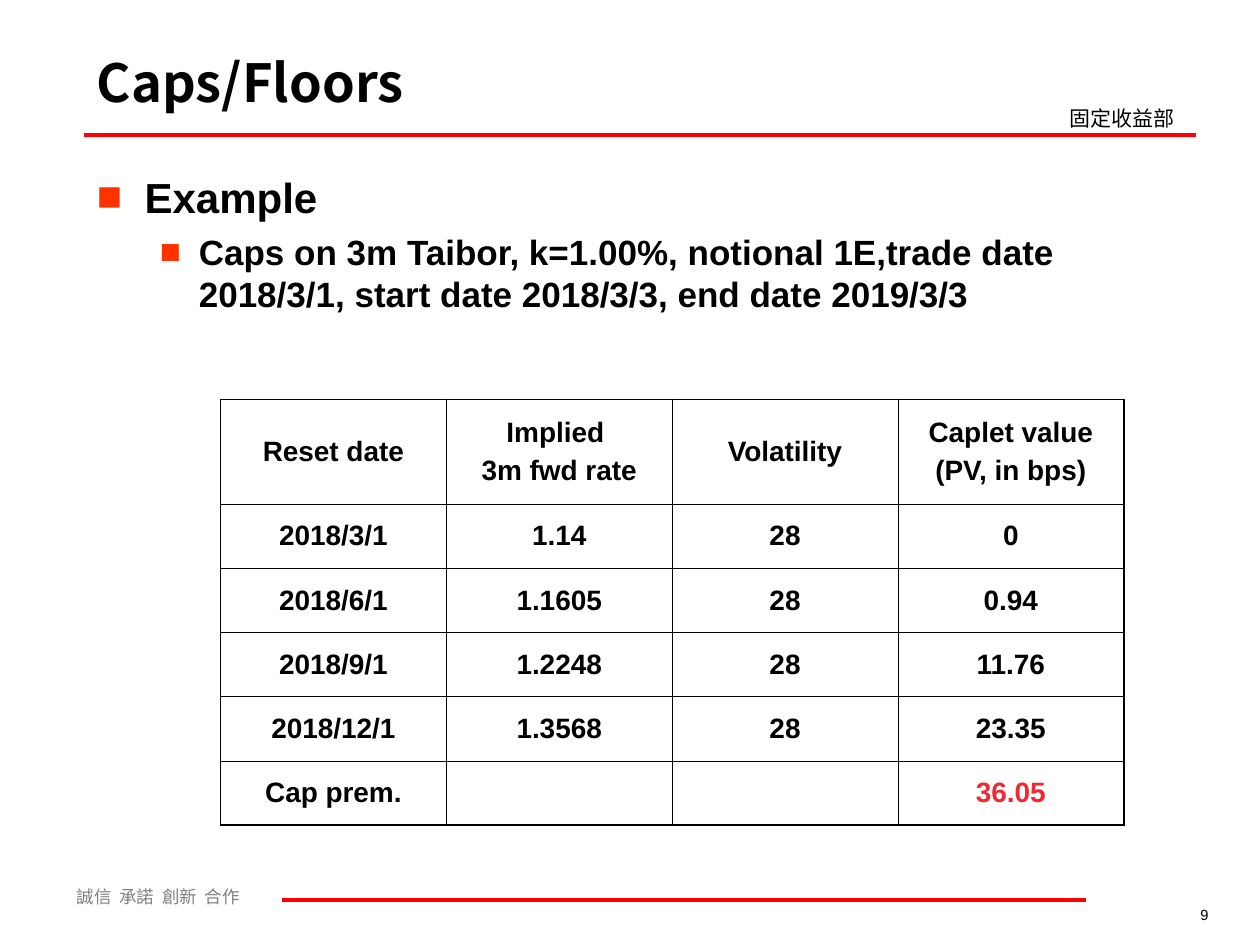
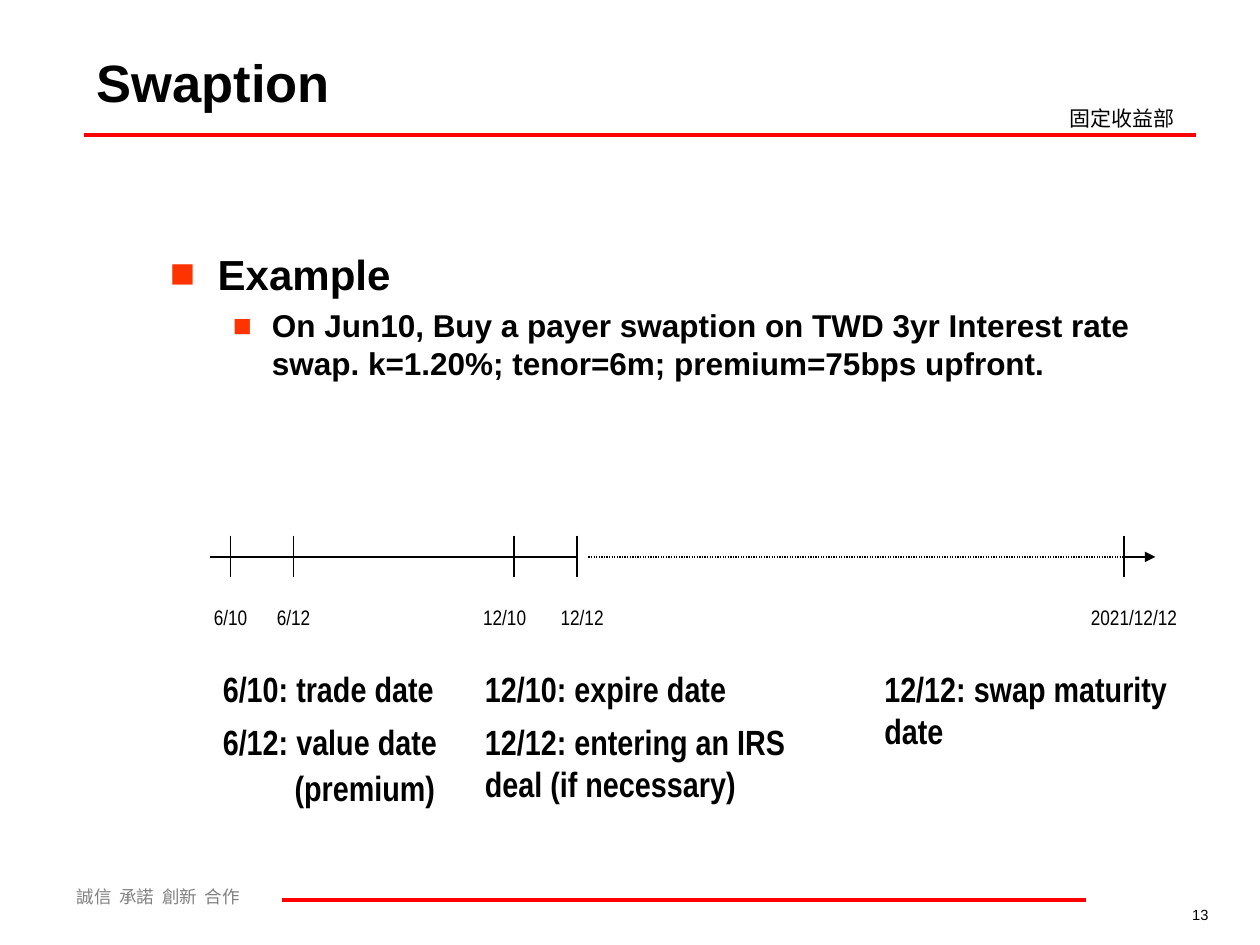
from lxml.etree import SubElement
from pptx import Presentation
from pptx.dml.color import RGBColor
from pptx.enum.dml import MSO_LINE
from pptx.enum.shapes import MSO_CONNECTOR
from pptx.enum.text import MSO_ANCHOR, PP_ALIGN
from pptx.oxml import parse_xml
from pptx.oxml.ns import nsdecls, qn
from pptx.util import Inches, Pt

BLACK, GREY, RED = "000000", "808080", "FF0000"
BULLET_RED, TOTAL_RED = "FF3300", "F02832"
SANS, NARROW, CJK = "Arial", "Arial Narrow", "Noto Sans CJK SC"
hex_color = RGBColor.from_string


def write(frame, text, size, font=SANS, color=BLACK, bold=False,
          align=PP_ALIGN.LEFT, before=0):
    """Fill a text frame, one paragraph per line of text, in one style."""
    frame.word_wrap = True
    frame.text = text
    for paragraph in frame.paragraphs:
        paragraph.alignment = align
        paragraph.space_before = Pt(before)
        for run in paragraph.runs:
            run.font.size = Pt(size)
            run.font.bold = bold
            run.font.color.rgb = hex_color(color)
            run.font.name = font
            SubElement(run.font._element, qn("a:ea"), typeface=font)
    return frame


def add_line(slide, x1, y1, x2, y2, color=BLACK, width=0.75):
    connector = slide.shapes.add_connector(
        MSO_CONNECTOR.STRAIGHT, Inches(x1), Inches(y1), Inches(x2), Inches(y2))
    connector.line.color.rgb = hex_color(color)
    connector.line.width = Pt(width)
    SubElement(connector._element.spPr, qn("a:effectLst"))
    return connector.line


prs = Presentation()
prs.slide_width, prs.slide_height = Inches(10), Inches(7.5)

# Shared frame, title and bulleted example
# page number, title, title font, body box, example, example size, space before
pages = [
    ("9", "Caps/Floors", CJK, (0.67, 1.31, 8.83, 1.4),
     "Caps on 3m Taibor, k=1.00%, notional 1E,trade date 2018/3/1, "
     "start date 2018/3/3, end date 2019/3/3", 20, 5),
    ("13", "Swaption", SANS, (1.25, 1.92, 8.5, 1.4),
     "On Jun10, Buy a payer swaption on TWD 3yr Interest rate swap. "
     "k=1.20%; tenor=6m; premium=75bps upfront.", 18, 4.5),
]
for number, title, title_font, body_box, example, example_size, before in pages:
    slide = prs.slides.add_slide(prs.slide_layouts[6])
    add_line(slide, 0.67, 1.07, 9.49, 1.07, RED, 2.25)
    add_line(slide, 2.24, 7.14, 8.62, 7.14, RED, 2.25)
    labels = [
        ((0.51, 6.98, 2.52, 0.27), "誠信  承諾  創新  合作", 10, CJK, GREY, False, PP_ALIGN.LEFT),
        ((8.39, 0.79, 1.26, 0.3), "固定收益部", 12, CJK, BLACK, False, PP_ALIGN.LEFT),
        ((8.31, 7.14, 1.38, 0.24), number, 8.4, SANS, BLACK, False, PP_ALIGN.RIGHT),
        ((0.67, 0.3, 7.32, 0.69), title, 30, title_font, BLACK, True, PP_ALIGN.LEFT),
    ]
    for box, *style in labels:
        frame = write(slide.shapes.add_textbox(*map(Inches, box)).text_frame, *style)
    frame.vertical_anchor = MSO_ANCHOR.MIDDLE

    body = write(slide.shapes.add_textbox(*map(Inches, body_box)).text_frame,
                 f"Example\n{example}", 24, bold=True, before=6)
    heading, detail = body.paragraphs
    detail.level = 1
    detail.space_before = Pt(before)
    detail.runs[0].font.size = Pt(example_size)
    for paragraph, margin, hang in ((heading, 0.38, 0.38), (detail, 0.81, 0.31)):
        props = paragraph._p.get_or_add_pPr()
        props.set("marL", str(Inches(margin)))
        props.set("indent", str(-Inches(hang)))
        SubElement(SubElement(props, qn("a:buClr")), qn("a:srgbClr"), val=BULLET_RED)
        SubElement(props, qn("a:buFont"), typeface=SANS)
        SubElement(props, qn("a:buChar"), char="■")

caps_slide, swaption_slide = prs.slides

# Caplet values
caplets = [
    ("Reset date", "Implied \n3m fwd rate", "Volatility", "Caplet value\n(PV, in bps)"),
    ("2018/3/1", "1.14", "28", "0"),
    ("2018/6/1", "1.1605", "28", "0.94"),
    ("2018/9/1", "1.2248", "28", "11.76"),
    ("2018/12/1", "1.3568", "28", "23.35"),
    ("Cap prem.", "", "", "36.05"),
]
last_row, last_col = len(caplets) - 1, len(caplets[0]) - 1
table = caps_slide.shapes.add_table(
    len(caplets), len(caplets[0]),
    Inches(1.75), Inches(3.17), Inches(7.17), Inches(3.4)).table
table.first_row = table.horz_banding = False
for r, values in enumerate(caplets):
    table.rows[r].height = Inches(0.51 if r else 0.83)
    for c, value in enumerate(values):
        cell = table.cell(r, c)
        cell.vertical_anchor = MSO_ANCHOR.MIDDLE
        cell.fill.background()
        color = TOTAL_RED if (r, c) == (last_row, last_col) else BLACK
        write(cell.text_frame, value, 16, color=color, bold=True,
              align=PP_ALIGN.CENTER, before=4)
        outer_edges = {"L": c == 0, "R": c == last_col, "T": r == 0, "B": r == last_row}
        for i, (side, outer) in enumerate(outer_edges.items()):
            border = parse_xml(
                f'<a:ln{side} {nsdecls("a")} w="{Pt(1.08 if outer else 0.45)}">'
                f'<a:solidFill><a:srgbClr val="{BLACK}"/></a:solidFill></a:ln{side}>')
            cell._tc.get_or_add_tcPr().insert(i, border)

# Swaption timeline
axis_y = 4.42
add_line(swaption_slide, 1.67, axis_y, 4.58, axis_y)
add_line(swaption_slide, 4.67, axis_y, 8.92, axis_y).dash_style = MSO_LINE.ROUND_DOT
arrow = add_line(swaption_slide, 8.92, axis_y, 9.17, axis_y)
SubElement(arrow._get_or_add_ln(), qn("a:tailEnd"), type="triangle")

# tick position, date, label left, label width
dates = [
    (1.83, "6/10", 1.58, 0.5),
    (2.33, "6/12", 2.08, 0.5),
    (4.08, "12/10", 3.67, 0.67),
    (4.58, "12/12", 4.33, 0.58),
    (8.92, "2021/12/12", 8.5, 1),
]
for tick_x, date, left, width in dates:
    add_line(swaption_slide, tick_x, 4.25, tick_x, 4.58)
    label = swaption_slide.shapes.add_textbox(
        Inches(left), Inches(4.75), Inches(width), Inches(0.3))
    write(label.text_frame, date, 12, NARROW, align=PP_ALIGN.CENTER, before=7.5)

events = [
    ((1.67, 5.25, 2.33, 0.44), "6/10: trade date"),
    ((3.75, 5.25, 2.67, 0.44), "12/10: expire date"),
    ((3.75, 5.67, 2.83, 0.77), "12/12: entering an IRS deal (if necessary)"),
    ((6.92, 5.25, 2.83, 0.77), "12/12: swap maturity date"),
    ((1.67, 5.67, 2.33, 0.78), "6/12: value date\n(premium)"),
]
for box, event in events:
    frame = write(swaption_slide.shapes.add_textbox(*map(Inches, box)).text_frame,
                  event, 20, NARROW, bold=True, before=12.5)
premium = frame.paragraphs[1]
premium.line_spacing = 0.5
premium._p.get_or_add_pPr().set("marL", str(Inches(0.57)))

prs.save("out.pptx")
